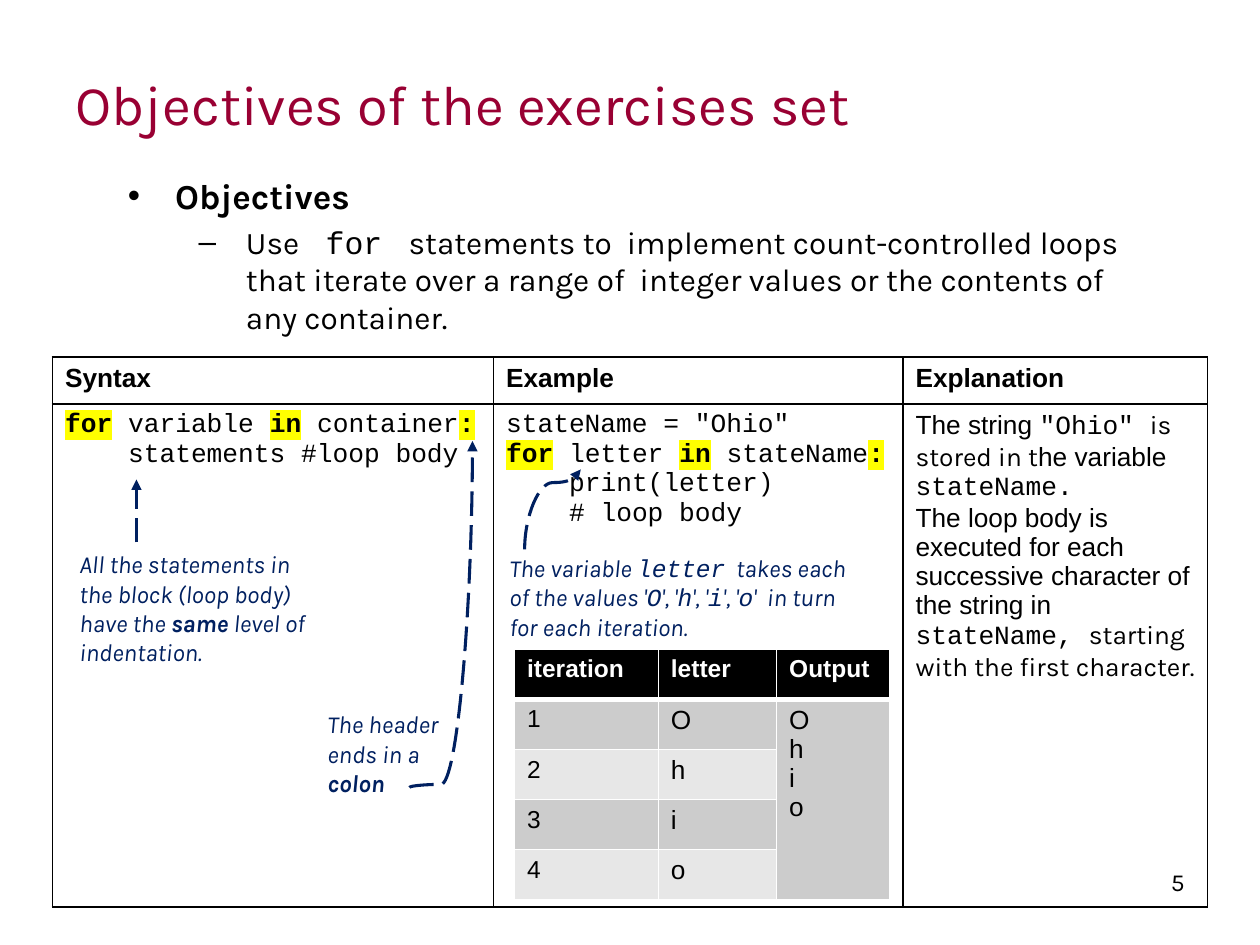
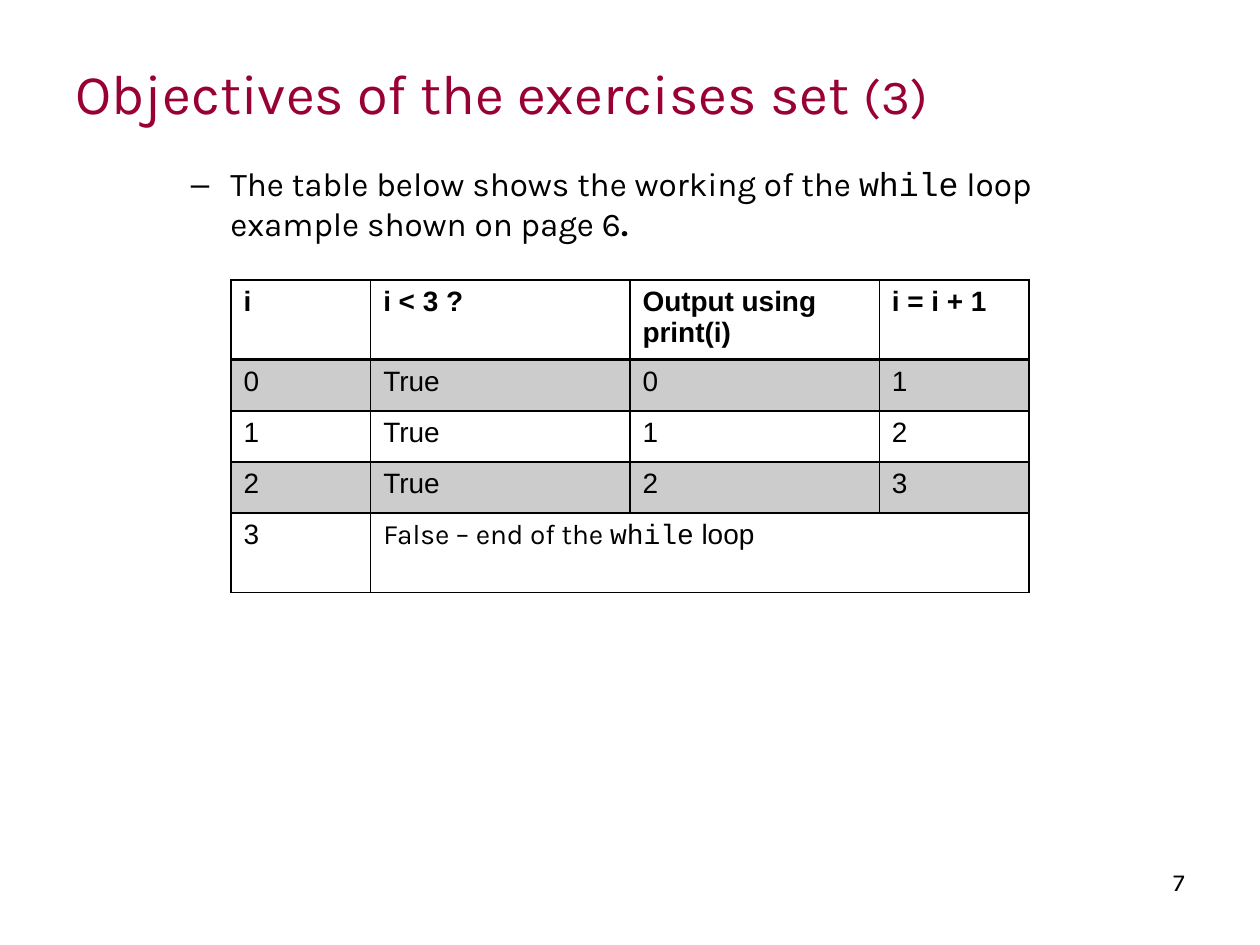
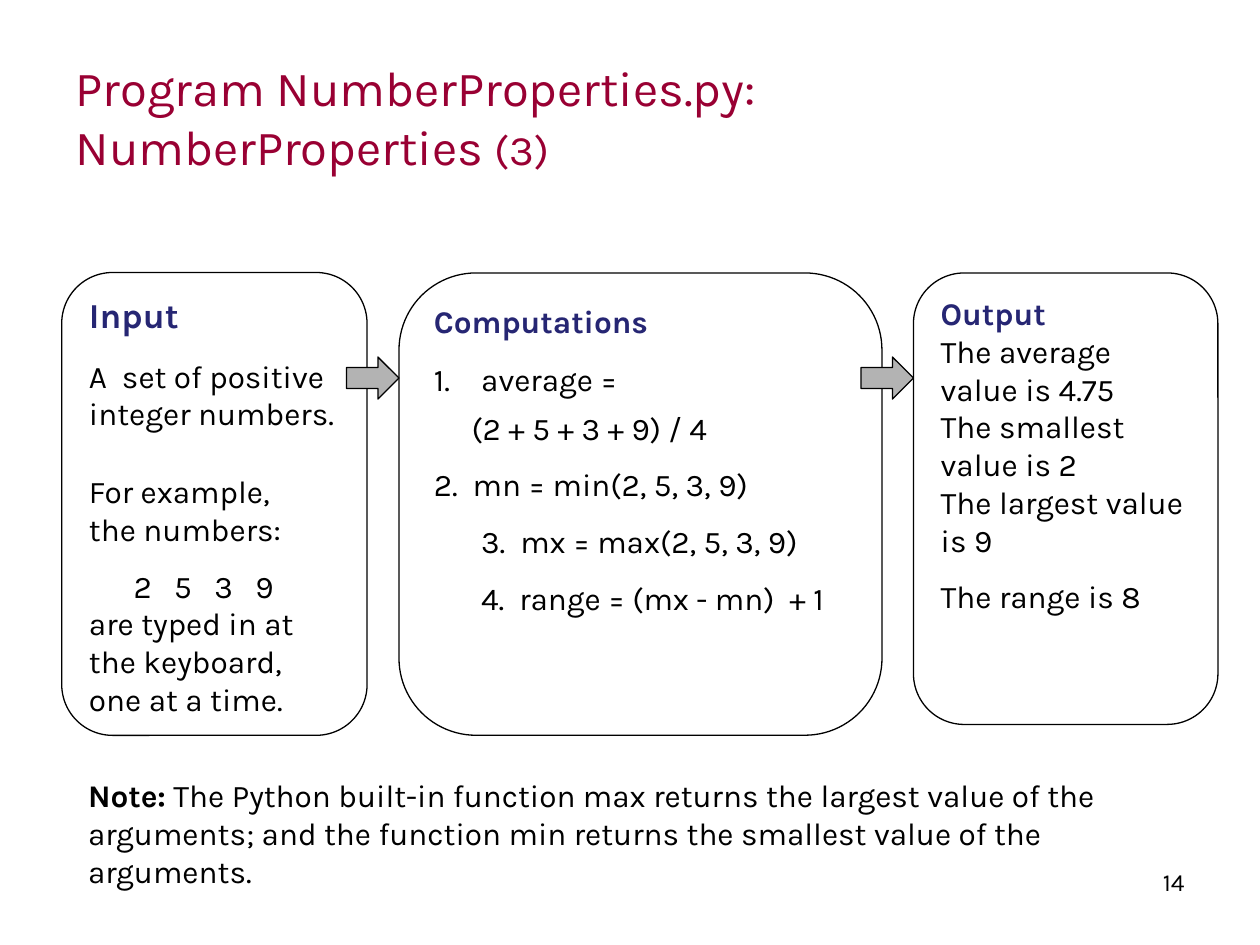
from dataclasses import dataclass

from pptx import Presentation
from pptx.dml.color import RGBColor
from pptx.enum.dml import MSO_LINE
from pptx.enum.shapes import MSO_CONNECTOR, MSO_SHAPE
from pptx.enum.text import MSO_ANCHOR, MSO_AUTO_SIZE, PP_ALIGN
from pptx.oxml.ns import qn
from pptx.util import Pt
from lxml import etree

LEFT, RIGHT = PP_ALIGN.LEFT, PP_ALIGN.RIGHT
TOP, MIDDLE = MSO_ANCHOR.TOP, MSO_ANCHOR.MIDDLE
STRAIGHT, CURVE = MSO_CONNECTOR.STRAIGHT, MSO_CONNECTOR.CURVE
ROUNDED, ARROW = MSO_SHAPE.ROUNDED_RECTANGLE, MSO_SHAPE.RIGHT_ARROW
LONG_DASH = MSO_LINE.LONG_DASH
TITLE_ONLY = 5


@dataclass(frozen=True)
class Theme:
    sans: str = "Karla"
    table: str = "Arial"
    code: str = "Courier New"
    black: str = "000000"
    white: str = "FFFFFF"
    title: str = "990033"
    note: str = "002060"
    heading: str = "262673"
    marker: str = "FFFF00"
    arrow: str = "B3B3B3"
    band: str = "CCCCCC"
    pale: str = "E7E7E7"
    title_size: int = 32
    body_size: int = 18
    note_size: int = 14


T = Theme()
CODE = {"font": T.code}
SANS = {"font": T.sans}
ARIAL = {"font": T.table}
BOLD = {"bold": True}
KEYWORD = {"font": T.code, "bold": True, "highlight": T.marker}
NOTE = {"size": T.note_size, "color": T.note, "italic": True}
HEADING = {"color": T.heading, "bold": True}

# Text is a string or a list of paragraphs. A paragraph is a string, a list of
# runs, or a dict of runs and format. A run is a string or (string, format).
LOOP_TITLE = "Objectives of the exercises set"
LOOP_BODY = [
    {"runs": "Objectives", "size": 20, "bold": True, "before": 12,
     "left": 27, "first": -27, "bullet": "•"},
    {"runs": ["Use ", (" for ", CODE),
              " statements to  implement count-controlled loops that iterate "
              "over a range of  integer values or the contents of any container."],
     "before": 3.6, "left": 67.5, "first": -27, "bullet": "–"},
]
INDENT = {"left": 36}
LOOP_CELLS = [
    ["Syntax", "Example", "Explanation"],
    [
        [[("for", KEYWORD), (" variable ", CODE), ("in", KEYWORD),
          (" container", CODE), (":", KEYWORD)],
         {"runs": "statements #loop body", **CODE, **INDENT}],
        [{"runs": 'stateName = "Ohio"', **CODE},
         [("for", KEYWORD), (" letter ", CODE), ("in", KEYWORD),
          (" stateName", CODE), (":", KEYWORD)],
         {"runs": "print(letter)", **CODE, **INDENT},
         {"runs": "# loop body", **CODE, **INDENT}],
        [["The string ", ('"Ohio" ', CODE), ("is stored in t", SANS),
          "he variable ", ("stateName.", CODE)],
         ["The loop body is executed for each successive character of the "
          "string in ", ("stateName, ", CODE),
          ("starting with the first character.", SANS)]],
    ],
]
LETTERS = "Ohio"
LETTER_CELLS = [["iteration", "letter", "Output"]] + [
    [str(n), [{"runs": letter, "size": 15}], None]
    for n, letter in enumerate(LETTERS, 1)]
LETTER_CELLS[1][2] = [{"runs": letter, "size": 15} for letter in LETTERS]

LETTER_NOTE = ["The variable ", ("letter", CODE), "  takes each of the values '"]
for letter in LETTERS[:-1]:
    LETTER_NOTE += [(letter, CODE), "', '"]
LETTER_NOTE += [(LETTERS[-1], CODE), "'  in turn for each iteration."]
LOOP_NOTES = [  # left, top, width, height, text
    (180, 401.8, 90, 58, [["The header ends in a ", ("colon", BOLD)]]),
    (38.2, 310.3, 156, 75, [["All the statements in the block (loop body) have the ",
                             ("same", BOLD), " level of indentation."]]),
    (284, 312.5, 208, 58, [LETTER_NOTE]),
]
LOOP_CURVES = [  # from, to, bend as a share of the rise
    ((299.8, 314), (331.9, 268.3), 0.836),
    ((234, 450), (270, 252), 0.009),
]

WHILE_TITLE = [["Objectives of the exercises set ", ("(3)", {"size": 28})]]
WHILE_BODY = [
    {"runs": ["The table below shows the working of the ", ("while", CODE),
              " loop example shown on page 6", (".", BOLD)],
     "before": 3.8, "left": 58.5, "first": -22.5, "bullet": "–"},
]
WHILE_CELLS = [["i", "i < 3 ?", "Output using print(i)", "i = i + 1"]]
WHILE_CELLS += [[str(i), "True", str(i), str(i + 1)] for i in range(3)]
WHILE_CELLS += [["3", [[("False – end of the ", SANS), ("while", CODE), " loop"]],
                 None, None]]

PROGRAM_TITLE = [["Program NumberProperties.py: NumberProperties ",
                  ("(3)", {"size": 24})]]
STAGES = [  # left, top, width, height, text
    (35.3, 155.7, 174.5, 264.5, [
        {"runs": "Input", **HEADING, "size": 20},
        {"runs": "A  set of positive integer numbers.", "before": 12},
        {"runs": "For example,", "line": 1.5, "before": 12},
        "the numbers:",
        {"runs": "2   5   3   9", "line": 1.5, "left": 25.5},
        "are typed in at the keyboard, one at a time."]),
    (228, 156, 276, 264.2, [
        {"runs": "Computations", **HEADING},
        {"runs": "average =", "before": 12, "left": 27, "first": -27, "bullet": "1."},
        {"runs": "(2 + 5 + 3 + 9) / 4", "before": 6, "left": 21.5},
        {"runs": "2.  mn = min(2, 5, 3, 9)", "line": 1.5},
        {"runs": "3.  mx = max(2, 5, 3, 9)", "line": 1.5, "left": 27},
        {"runs": "4.  range = (mx - mn)  + 1", "line": 1.5, "left": 27}]),
    (522, 156, 174, 258, [
        {"runs": "Output", **HEADING},
        "The average value is 4.75",
        "The smallest value is 2",
        "The largest value is 9",
        {"runs": "The range is 8", "line": 1.5}]),
]
PROGRAM_NOTE = [[("Note:", BOLD),
                 " The Python built-in function max returns the largest value of "
                 "the arguments; and the function min returns the smallest value "
                 "of the arguments."]]


def rgb(color):
    return RGBColor.from_string(color)


def child(parent, tag, **attrs):
    return etree.SubElement(parent, qn(tag), {k: str(v) for k, v in attrs.items()})


def add_run(p, text, size=T.body_size, font=T.sans, color=T.black,
            bold=False, italic=False, highlight=None):
    r = p.add_run()
    r.text = text
    f = r.font
    f.size, f.bold, f.italic = Pt(size), bold, italic
    f.color.rgb = rgb(color)
    if highlight:
        child(child(r._r.get_or_add_rPr(), "a:highlight"), "a:srgbClr", val=highlight)
    f.name = font


def format_paragraph(p, align=LEFT, before=0, line=None, left=0, first=0,
                     bullet=None):
    p.alignment = align
    p.space_before = Pt(before)
    if line:
        p.line_spacing = line
    pPr = p._p.get_or_add_pPr()
    pPr.set("marL", str(Pt(left)))
    pPr.set("indent", str(Pt(first)))
    if bullet == "1.":
        child(pPr, "a:buAutoNum", type="arabicPeriod")
    elif bullet:
        child(pPr, "a:buFont", typeface=T.table)
        child(pPr, "a:buChar", char=bullet)
    else:
        child(pPr, "a:buNone")


PARAGRAPH_KEYS = {"align", "before", "line", "left", "first", "bullet"}


def write(tf, text, **base):
    """Fill a text frame; base is the format that paragraphs and runs override."""
    for i, para in enumerate([text] if isinstance(text, str) else text):
        p = tf.add_paragraph() if i else tf.paragraphs[0]
        fmt = {**base, **(para if isinstance(para, dict) else {"runs": para})}
        runs = fmt.pop("runs")
        format_paragraph(p, **{k: fmt.pop(k) for k in PARAGRAPH_KEYS & fmt.keys()})
        for run in [runs] if isinstance(runs, str) else runs:
            words, own = (run, {}) if isinstance(run, str) else run
            add_run(p, words, **{**fmt, **own})


def add_text(slide, left, top, width, height, text, **fmt):
    tf = slide.shapes.add_textbox(Pt(left), Pt(top), Pt(width), Pt(height)).text_frame
    tf.word_wrap = True
    write(tf, text, **fmt)


def new_slide(prs, title, title_height, number, title_size=T.title_size):
    slide = prs.slides.add_slide(prs.slide_layouts[TITLE_ONLY])
    sp = slide.shapes.title
    sp.left, sp.top, sp.width, sp.height = Pt(36), Pt(21.6), Pt(504), Pt(title_height)
    tf = sp.text_frame
    tf.word_wrap, tf.auto_size, tf.vertical_anchor = True, MSO_AUTO_SIZE.NONE, MIDDLE
    write(tf, title, size=title_size, color=T.title)
    add_text(slide, 516, 492, 168, 37.5, number, size=T.note_size, align=RIGHT)
    return slide


def add_border(cell, side, width, color):
    ln = child(cell._tc.get_or_add_tcPr(), "a:ln" + side, w=Pt(width))
    child(child(ln, "a:solidFill"), "a:srgbClr", val=color)


def add_table(slide, left, top, cols, rows, cells, fills, border=T.black,
              header_rule=1, header_color=T.black, span=None, **fmt):
    frame = slide.shapes.add_table(len(rows), len(cols), Pt(left), Pt(top),
                                   Pt(sum(cols)), Pt(sum(rows)))
    tbl = frame.table
    tbl.first_row = tbl.horz_banding = False
    for column, width in zip(tbl.columns, cols):
        column.width = Pt(width)
    for row, height in zip(tbl.rows, rows):
        row.height = Pt(height)
    for r, line in enumerate(cells):
        for c, text in enumerate(line):
            cell = tbl.cell(r, c)
            widths = {"L": 1, "R": 1, "T": header_rule if r == 1 else 1,
                      "B": header_rule if r == 0 else 1}
            for side, width in widths.items():
                add_border(cell, side, width, border)
            if fills[r]:
                cell.fill.solid()
                cell.fill.fore_color.rgb = rgb(fills[r])
            else:
                cell.fill.background()
            if text:
                head = {"bold": True, "color": header_color} if r == 0 else {}
                write(cell.text_frame, text, **{**ARIAL, **fmt, **head})
    if span:
        tbl.cell(*span[0]).merge(tbl.cell(*span[1]))


def add_arrow(slide, kind, x0, y0, x1, y1):
    """Dashed arrow without shadow."""
    cxn = slide.shapes.add_connector(kind, Pt(x0), Pt(y0), Pt(x1), Pt(y1))
    cxn.line.color.rgb = rgb(T.note)
    cxn.line.width = Pt(1.75)
    cxn.line.dash_style = LONG_DASH
    child(cxn.line._get_or_add_ln(), "a:tailEnd", type="triangle")
    child(cxn._element.spPr, "a:effectLst")
    return cxn


def add_rising_curve(slide, start, end, bend):
    """Curve that leaves upwards: a sideways S turned by a quarter about its centre."""
    (x0, y0), (x1, y1) = start, end
    cx, cy = (x0 + x1) / 2, (y0 + y1) / 2
    dx, dy = (y0 - y1) / 2, (x1 - x0) / 2
    cxn = add_arrow(slide, CURVE, cx + dx, cy + dy, cx - dx, cy - dy)
    spPr = cxn._element.spPr
    spPr.find(qn("a:xfrm")).set("rot", "5400000")
    guides = spPr.find(qn("a:prstGeom")).find(qn("a:avLst"))
    child(guides, "a:gd", name="adj1", fmla=f"val {round(bend * 100000)}")


def add_outlined(slide, kind, left, top, width, height, fill=None):
    sp = slide.shapes.add_shape(kind, Pt(left), Pt(top), Pt(width), Pt(height))
    sp.shadow.inherit = False
    sp.line.color.rgb = rgb(T.black)
    sp.line.width = Pt(0.75)
    if fill:
        sp.fill.solid()
        sp.fill.fore_color.rgb = rgb(fill)
    else:
        sp.fill.background()
    return sp


def build_loop_slide(prs):
    slide = new_slide(prs, LOOP_TITLE, 74.5, "5")
    add_text(slide, 66, 96, 600, 408, LOOP_BODY)
    add_table(slide, 30, 204, (252, 234, 174), (27, 287.4), LOOP_CELLS,
              (None, None), size=15)
    for *box, text in LOOP_NOTES:
        add_text(slide, *box, text, **NOTE)
    add_arrow(slide, STRAIGHT, 78, 310, 78, 274)
    for curve in LOOP_CURVES:
        add_rising_curve(slide, *curve)
    add_table(slide, 294, 371, (82.2, 67.6, 64.7), [28.65] * 5, LETTER_CELLS,
              (T.black, T.band, T.pale, T.band, T.pale), border=T.white,
              header_rule=3, header_color=T.white, span=((1, 2), (4, 2)),
              size=T.note_size)


def build_while_slide(prs):
    slide = new_slide(prs, WHILE_TITLE, 62.5, "7")
    add_text(slide, 66, 90, 594, 432, WHILE_BODY, size=19)
    add_table(slide, 132, 160, (79.8, 148.2, 142.5, 85.5),
              (45.4, 29.2, 29.2, 29.2, 45.4), WHILE_CELLS,
              (None, T.band, None, T.band, None), header_rule=2,
              span=((4, 1), (4, 3)), size=16)


def build_program_slide(prs):
    slide = new_slide(prs, PROGRAM_TITLE, 90, "14", title_size=28)
    for *box, text in STAGES:
        tf = add_outlined(slide, ROUNDED, *box).text_frame
        tf.word_wrap, tf.vertical_anchor = True, TOP
        write(tf, text)
    for left, *_ in STAGES[1:]:
        add_outlined(slide, ARROW, left - 30, 204, 30, 24, fill=T.arrow)
    add_text(slide, 43.2, 440, 636, 51, PROGRAM_NOTE)


def main():
    prs = Presentation()
    prs.slide_width, prs.slide_height = Pt(720), Pt(540)
    build_loop_slide(prs)
    build_while_slide(prs)
    build_program_slide(prs)
    prs.save("out.pptx")


if __name__ == "__main__":
    main()
